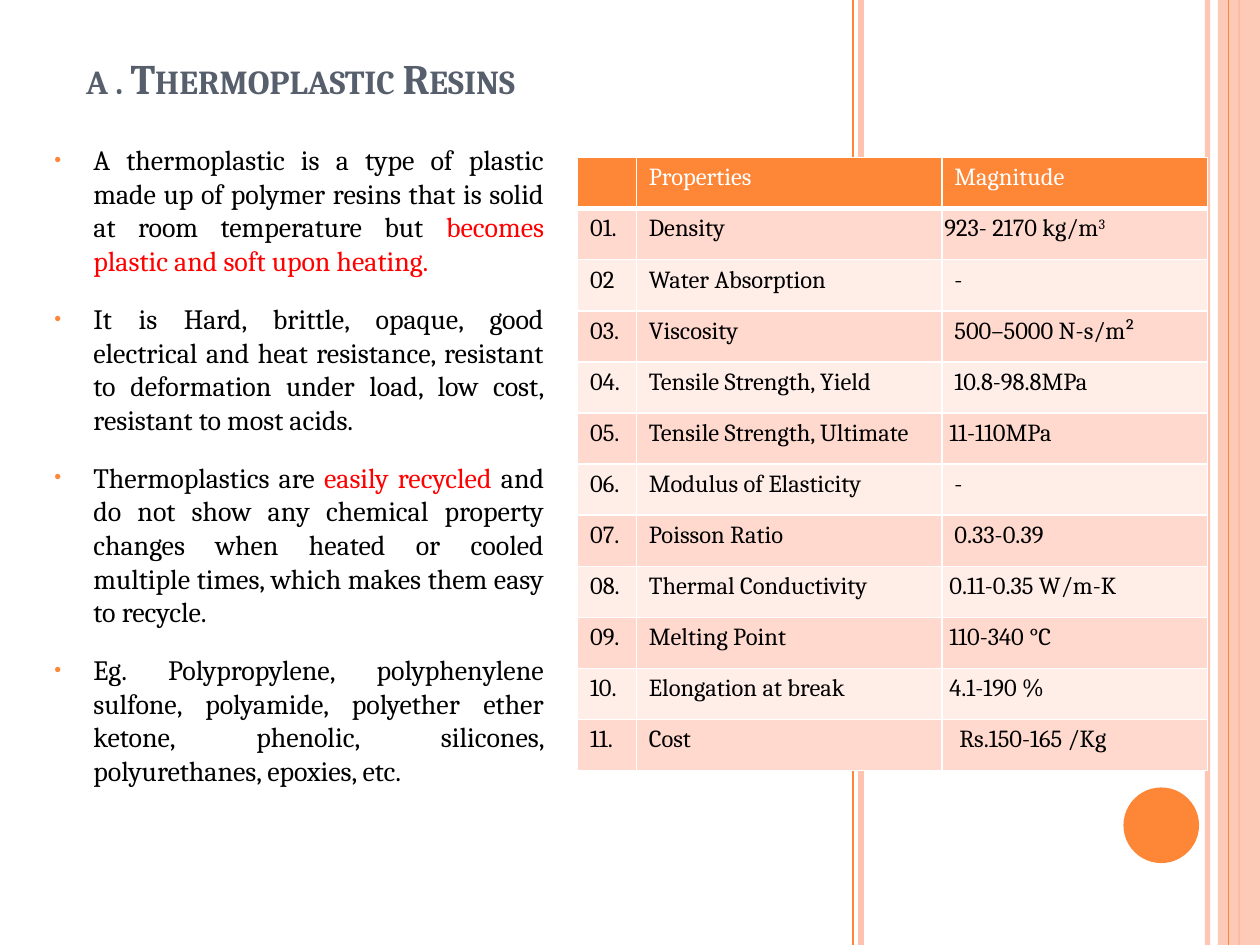
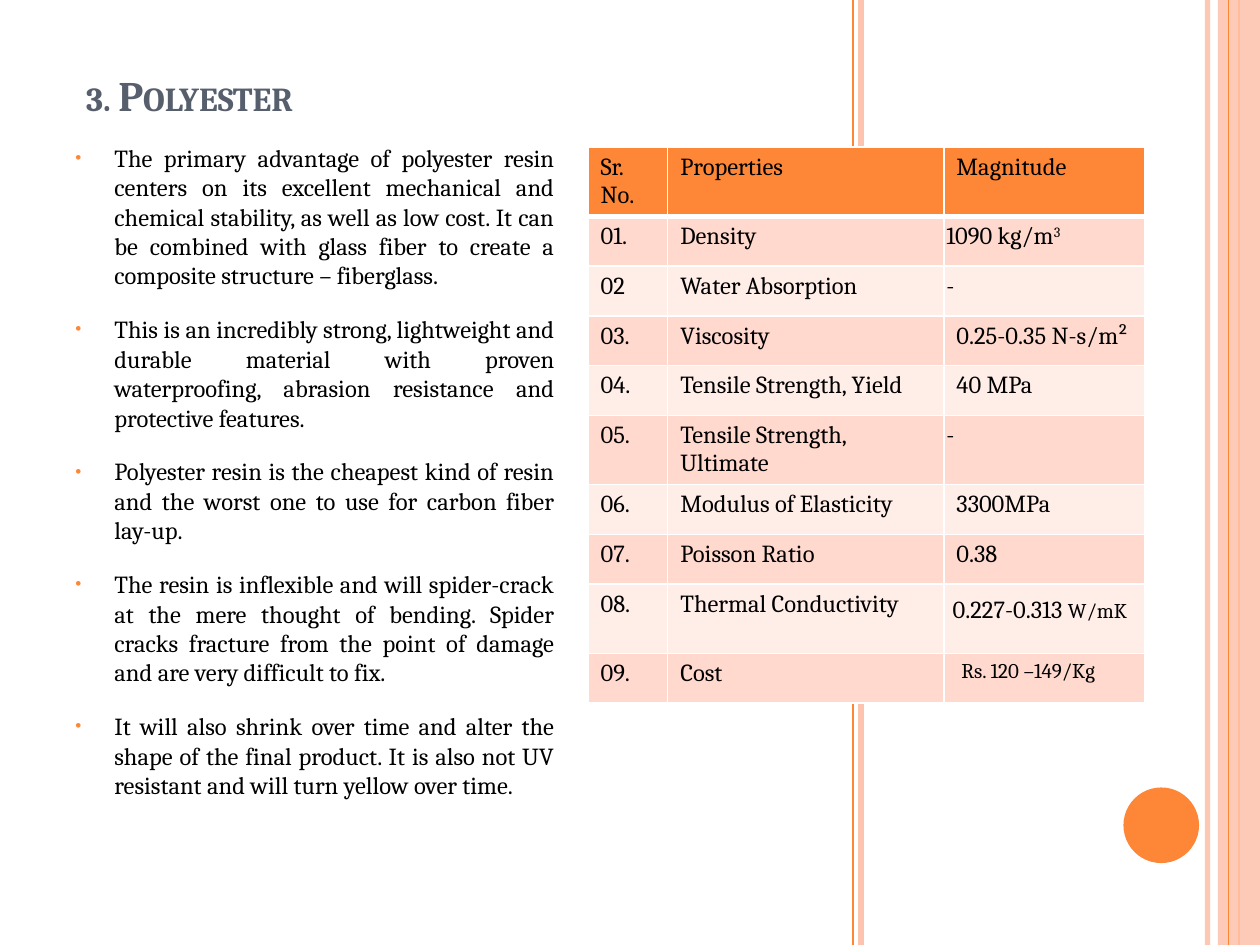
from dataclasses import dataclass

from lxml import etree
from pptx import Presentation
from pptx.dml.color import RGBColor
from pptx.enum.shapes import MSO_CONNECTOR, MSO_SHAPE
from pptx.enum.text import MSO_ANCHOR, PP_ALIGN
from pptx.oxml.ns import qn
from pptx.util import Inches, Pt

STRAIGHT = MSO_CONNECTOR.STRAIGHT
RECT, OVAL = MSO_SHAPE.RECTANGLE, MSO_SHAPE.OVAL
BOTTOM, TOP = MSO_ANCHOR.BOTTOM, MSO_ANCHOR.TOP
LEFT, JUSTIFY = PP_ALIGN.LEFT, PP_ALIGN.JUSTIFY
TITLE_ONLY = 5
COLUMNS, ROWS = 120, 90
WIDTH, HEIGHT = Inches(10), Inches(7.5)


@dataclass(frozen=True)
class Theme:
    font: str = "Cambria"
    orange: str = "FE8637"
    peach: str = "FEC3AE"
    slate: str = "575F6D"
    red: str = "FF0000"
    black: str = "000000"
    white: str = "FFFFFF"
    bands: tuple = ("FFD9CE", "FFEDE8")
    title: int = 24
    body: int = 16
    cell: int = 14
    small: int = 12


THEME = Theme()


@dataclass(frozen=True)
class Value:
    text: str
    indent: float = 0.1
    accent: str = "small"
    top: float = 0.05


def grid(*box):
    return [round(n * (HEIGHT / ROWS if i % 2 else WIDTH / COLUMNS)) for i, n in enumerate(box)]


def rgb(value):
    return RGBColor.from_string(value)


def child(parent, tag, **attributes):
    return etree.SubElement(parent, qn(tag), attributes)


def set_alpha(shape, percent):
    color = next(shape._element.spPr.iter(qn("a:srgbClr")))
    child(color, "a:alpha", val=str(percent * 1000))


def style_run(r, size, color):
    r.font.name, r.font.size = THEME.font, Pt(size)
    r.font.color.rgb = rgb(color)


def accent_run(r, accent):
    if accent == "red":
        r.font.color.rgb = rgb(THEME.red)
    elif accent == "super":
        r._r.get_or_add_rPr().set("baseline", "30000")
    else:
        r.font.size = Pt(THEME.small)


def write(p, text, size, color, accent="red"):
    for i, part in enumerate(text.split("|")):
        if part:
            r = p.add_run()
            r.text = part
            style_run(r, size, color)
            if i % 2:
                accent_run(r, accent)
    child(p._p, "a:endParaRPr", sz=str(size * 100))


def add_rule(s, x, color, weight, alpha=100):
    line = s.shapes.add_connector(STRAIGHT, *grid(x, 0, x, ROWS))
    line.line.color.rgb, line.line.width = rgb(color), Pt(weight)
    child(line._element.spPr, "a:effectLst")
    if alpha < 100:
        set_alpha(line, alpha)


def add_block(s, kind, box, color):
    shape = s.shapes.add_shape(kind, *grid(*box))
    shape.shadow.inherit = False
    shape.fill.solid()
    shape.fill.fore_color.rgb = rgb(color)
    shape.line.fill.background()
    return shape


def add_decor(s):
    add_rule(s, 115, THEME.peach, 3, 93)
    add_rule(s, 82, THEME.peach, 3)
    add_rule(s, 81.25, THEME.orange, 1)
    add_rule(s, 118, THEME.orange, 1.5)
    set_alpha(add_block(s, RECT, (116, 0, 4, ROWS), THEME.peach), 87)
    add_rule(s, 117, THEME.orange, 0.75)
    add_block(s, OVAL, (107, 75, 7.2, 7.2), THEME.orange)


def set_title(s, box, text):
    title = s.shapes.title
    title.left, title.top, title.width, title.height = grid(*box)
    tf = title.text_frame
    tf.text = text
    tf.word_wrap, tf.vertical_anchor = True, BOTTOM
    p = tf.paragraphs[0]
    p.alignment = LEFT
    r = p.runs[0]
    style_run(r, THEME.title, THEME.slate)
    r.font.bold = True
    r._r.get_or_add_rPr().set("cap", "small")


def add_bullets(s, box, items, size):
    tf = s.shapes.add_textbox(*grid(*box)).text_frame
    tf.word_wrap = True
    for i, item in enumerate(items):
        p = tf.add_paragraph() if i else tf.paragraphs[0]
        p.alignment = JUSTIFY
        p.space_before, p.space_after = Pt(4 if i else 0), Pt(10)
        pPr = p._p.get_or_add_pPr()
        pPr.set("marL", str(Inches(0.31)))
        pPr.set("indent", str(-Inches(0.31)))
        child(child(pPr, "a:buClr"), "a:srgbClr", val=THEME.orange)
        child(pPr, "a:buSzPct", val="70000")
        child(pPr, "a:buFont", typeface="Arial")
        child(pPr, "a:buChar", char="•")
        write(p, item, size, THEME.black)


def set_borders(cell, row):
    tcPr = cell._tc.get_or_add_tcPr()
    weights = {"L": 1, "R": 1, "T": 3 if row == 1 else 1, "B": 1 if row else 3}
    for side, weight in weights.items():
        line = child(tcPr, f"a:ln{side}", w=str(Pt(weight)))
        child(child(line, "a:solidFill"), "a:srgbClr", val=THEME.white)


def fill_cell(cell, row, value, color):
    set_borders(cell, row)
    cell.fill.solid()
    cell.fill.fore_color.rgb = rgb(THEME.bands[(row - 1) % 2] if row else THEME.orange)
    cell.vertical_anchor = TOP
    cell.margin_left, cell.margin_top = Inches(value.indent), Inches(value.top)
    cell.margin_right = Inches(0.1 if value.indent == 0.1 else 0.02)
    write(cell.text_frame.paragraphs[0], value.text, THEME.cell, color, value.accent)


def add_properties(s, box, widths, header, header_color, properties, values, tall=(), tall_height=6.6):
    rows = [[Value(h) for h in header]]
    for n, (name, value) in enumerate(zip(properties, values), 1):
        number = f"{n:02}" if n == 2 else f"{n:02}."
        rows.append([Value(number), Value(name), value])
    table = s.shapes.add_table(len(rows), len(header), *grid(*box)).table
    for column, width in zip(table.columns, widths):
        column.width = grid(width)[0]
    normal = (box[3] - len(tall) * tall_height) / (len(rows) - len(tall))
    for i, row in enumerate(rows):
        table.rows[i].height = grid(0, tall_height if i in tall else normal)[1]
        for j, value in enumerate(row):
            fill_cell(table.cell(i, j), i, value, THEME.black if i else header_color)


def add_resin_slide(prs, title, bullets, table):
    s = prs.slides.add_slide(prs.slide_layouts[TITLE_ONLY])
    add_decor(s)
    set_title(s, *title)
    add_properties(s, **table)
    add_bullets(s, *bullets)


COMMON = ["Density", "Water Absorption", "Viscosity", "Tensile Strength, Yield",
          "Tensile Strength, Ultimate", "Modulus of Elasticity", "Poisson Ratio",
          "Thermal Conductivity"]

THERMOPLASTIC_POINTS = [
    "A thermoplastic is a type of plastic made up of polymer resins that is solid at room "
    "temperature but |becomes plastic and soft upon heating.|",
    "It is Hard, brittle, opaque, good electrical and heat resistance, resistant to deformation "
    "under load, low cost, resistant to most acids.",
    "Thermoplastics are |easily recycled |and do not show any chemical property changes when "
    "heated or cooled multiple times, which makes them easy to recycle.",
    "Eg. Polypropylene, polyphenylene sulfone, polyamide, polyether ether ketone, phenolic, "
    "silicones, polyurethanes, epoxies, etc.",
]
THERMOPLASTIC_TABLE = dict(
    box=(55, 15, 60, 58.4), widths=(5.6, 29.1, 25.3),
    header=("", "Properties", "Magnitude"), header_color=THEME.white,
    properties=COMMON + ["Melting Point", "Elongation at break", "Cost"],
    values=[Value("923- 2170 kg/m|3|", 0.02, "super"), Value("-"), Value("500–5000 N-s/m²"),
            Value("10.8-98.8MPa"), Value("11-110MPa", 0.06), Value("-"), Value("0.33-0.39"),
            Value("0.11-0.35 W/m-K", 0.06), Value("110-340 °C", 0.06),
            Value("4.1-190 %", 0.06), Value("Rs.150-165 /Kg", 0.14)],
)

POLYESTER_POINTS = [
    "The primary advantage of polyester resin centers on its excellent mechanical and chemical "
    "stability, as well as low cost. It can be combined with glass fiber to create a composite "
    "structure – fiberglass.",
    "This is an incredibly strong, lightweight and durable material with proven waterproofing, "
    "abrasion resistance and protective features.",
    "Polyester resin is the cheapest kind of resin and the worst one to use for carbon fiber lay-up.",
    "The resin is inflexible and will spider-crack at the mere thought of bending. Spider cracks "
    "fracture from the point of damage and are very difficult to fix.",
    "It will also shrink over time and alter the shape of the final product. It is also not UV "
    "resistant and will turn yellow over time.",
]
POLYESTER_TABLE = dict(
    box=(56, 14, 53, 53), widths=(7.6, 26.3, 19.1),
    header=("Sr. No.", "Properties", "Magnitude"), header_color=THEME.black,
    properties=COMMON + ["Cost"],
    values=[Value("1090 kg/m|3|", 0.02, "super"), Value("-", 0.02), Value("0.25-0.35 N-s/m²"),
            Value("40 MPa"), Value("-", 0.02), Value("3300MPa"), Value("0.38"),
            Value("0.227-0.313 |W/mK|", 0.07, top=0.1), Value("|Rs. 120 –149/Kg|", 0.14)],
    tall=(0, 5, 8),
)


def main():
    prs = Presentation()
    prs.slide_width, prs.slide_height = WIDTH, HEIGHT
    add_resin_slide(prs, ((7, 2, 59, 8.4), "a . Thermoplastic Resins"),
                    ((4, 13, 49, 69), THERMOPLASTIC_POINTS, THEME.body), THERMOPLASTIC_TABLE)
    add_resin_slide(prs, ((7, 2, 39.5, 10), "3. Polyester"),
                    ((6, 13, 48, 69), POLYESTER_POINTS, THEME.cell), POLYESTER_TABLE)
    prs.save("out.pptx")


if __name__ == "__main__":
    main()
